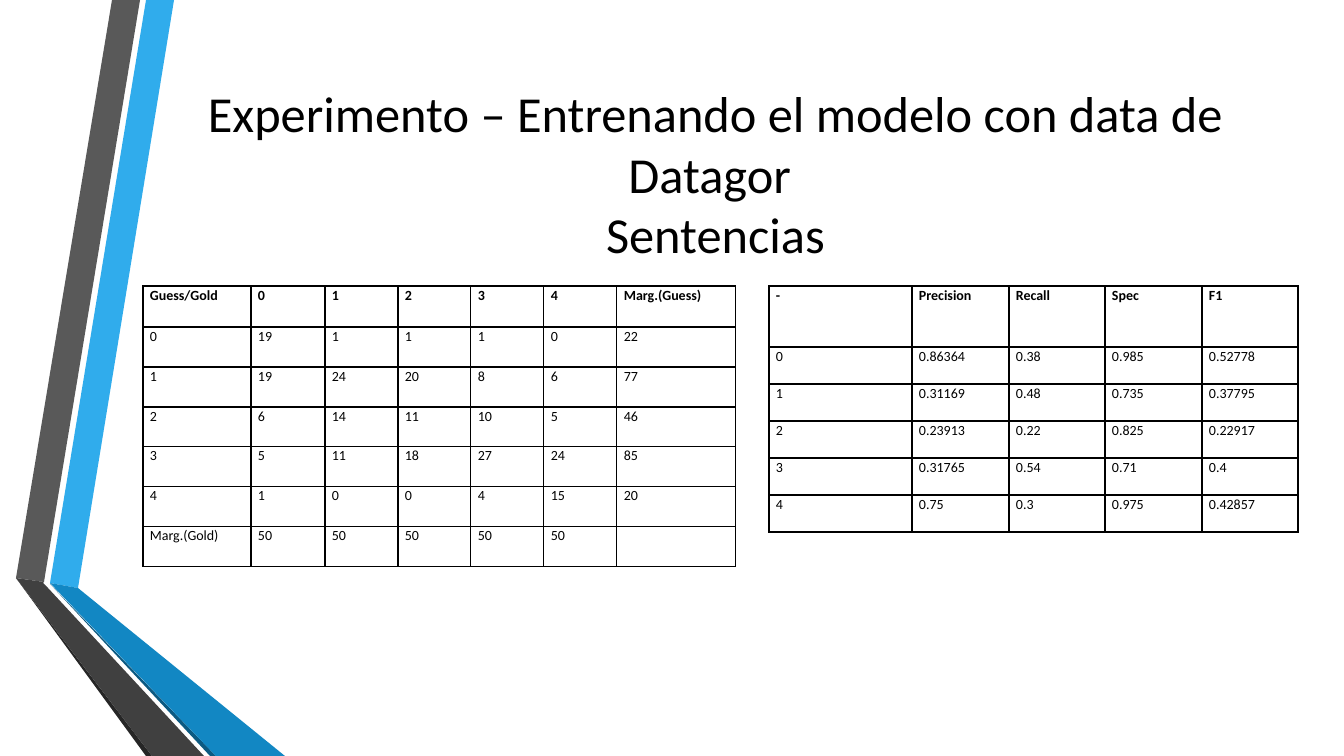
from pptx import Presentation
from pptx.dml.color import RGBColor
from pptx.enum.text import MSO_ANCHOR, PP_ALIGN
from pptx.oxml import parse_xml
from pptx.oxml.ns import nsdecls
from pptx.util import Pt

SCALE = 914400 / 100.8  # EMU per pixel
COLORS = {
    "text": "000000", "blue": "30ACEC", "grey": "595959",
    "grey_edge": "262626", "blue_edge": "0C5A82",
    "blue_fold": "1287C3", "grey_fold": "404040",
}


def px(pixels):
    return round(pixels * SCALE)


def style_text(paragraph, size, align, bold=False):
    paragraph.alignment = align
    font = paragraph.font
    font.name, font.size, font.bold = "Calibri", Pt(size), bold
    font.color.rgb = RGBColor.from_string(COLORS["text"])


prs = Presentation()
prs.slide_width, prs.slide_height = px(1344), px(756)
slide = prs.slides.add_slide(prs.slide_layouts[6])

# Folded ribbons on the left
ribbons = [
    ("blue", [(50, 583), (78, 588), (174, 0), (146, 0)]),
    ("grey", [(140, 0), (112, 0), (16, 578), (44, 582)]),
    ("grey_edge", [(16, 578), (146, 756), (152, 756)]),
    ("blue_edge", [(50, 584), (210, 756), (216, 756)]),
    ("blue_fold", [(50, 583), (216, 756), (285, 756), (78, 588)]),
    ("grey_fold", [(204, 756), (48, 588), (43, 583), (44, 582),
                   (16, 578), (152, 756)]),
]
for color, points in ribbons:
    outline = slide.shapes.build_freeform(*points[0], scale=SCALE)
    outline.add_line_segments(points[1:], close=True)
    ribbon = outline.convert_to_shape()
    ribbon.shadow.inherit = False
    ribbon.fill.solid()
    ribbon.fill.fore_color.rgb = RGBColor.from_string(COLORS[color])
    ribbon.line.fill.background()

# Title
title = slide.shapes.add_textbox(px(163), px(76), px(1105), px(194)).text_frame
title.word_wrap = True
title.vertical_anchor = MSO_ANCHOR.MIDDLE
title.text = "Experimento – Entrenando el modelo con data de Datagor \vSentencias"
style_text(title.paragraphs[0], 36, PP_ALIGN.CENTER)

# Confusion matrix and metrics per class: left, column widths, row heights, rows
confusion = [
    ["Guess/Gold", "0", "1", "2", "3", "4", "Marg.(Guess)"],
    ["0", "19", "1", "1", "1", "0", "22"],
    ["1", "19", "24", "20", "8", "6", "77"],
    ["2", "6", "14", "11", "10", "5", "46"],
    ["3", "5", "11", "18", "27", "24", "85"],
    ["4", "1", "0", "0", "4", "15", "20"],
    ["Marg.(Gold)", "50", "50", "50", "50", "50", ""],
]
metrics = [
    ["-", "Precision", "Recall", "Spec", "F1"],
    ["0", "0.86364", "0.38", "0.985", "0.52778"],
    ["1", "0.31169", "0.48", "0.735", "0.37795"],
    ["2", "0.23913", "0.22", "0.825", "0.22917"],
    ["3", "0.31765", "0.54", "0.71", "0.4"],
    ["4", "0.75", "0.3", "0.975", "0.42857"],
]
tables = [
    (143, [108, 74, 73, 73, 73, 73, 119], [41] + [40] * 6, confusion),
    (769, [143, 97, 96, 97, 96], [61] + [37] * 5, metrics),
]
for left, widths, heights, rows in tables:
    table = slide.shapes.add_table(
        len(rows), len(widths), px(left), px(286),
        px(sum(widths)), px(sum(heights))).table
    table.first_row = table.horz_banding = False
    for column, width in zip(table.columns, widths):
        column.width = px(width)
    for r, (height, values) in enumerate(zip(heights, rows)):
        table.rows[r].height = px(height)
        for c, value in enumerate(values):
            cell = table.cell(r, c)
            cell.margin_left = cell.margin_right = px(7)
            cell.margin_top = cell.margin_bottom = 0
            cell.text = value
            paragraph = cell.text_frame.paragraphs[0]
            paragraph.line_spacing = 1.05
            style_text(paragraph, 10, PP_ALIGN.JUSTIFY, bold=r == 0)
            # Thin border on all four sides
            for side in "LRTB":
                cell._tc.get_or_add_tcPr().append(parse_xml(
                    f'<a:ln{side} {nsdecls("a")} w="{Pt(1)}"><a:solidFill>'
                    f'<a:srgbClr val="{COLORS["text"]}"/></a:solidFill></a:ln{side}>'))
            cell.fill.background()

prs.save("out.pptx")
